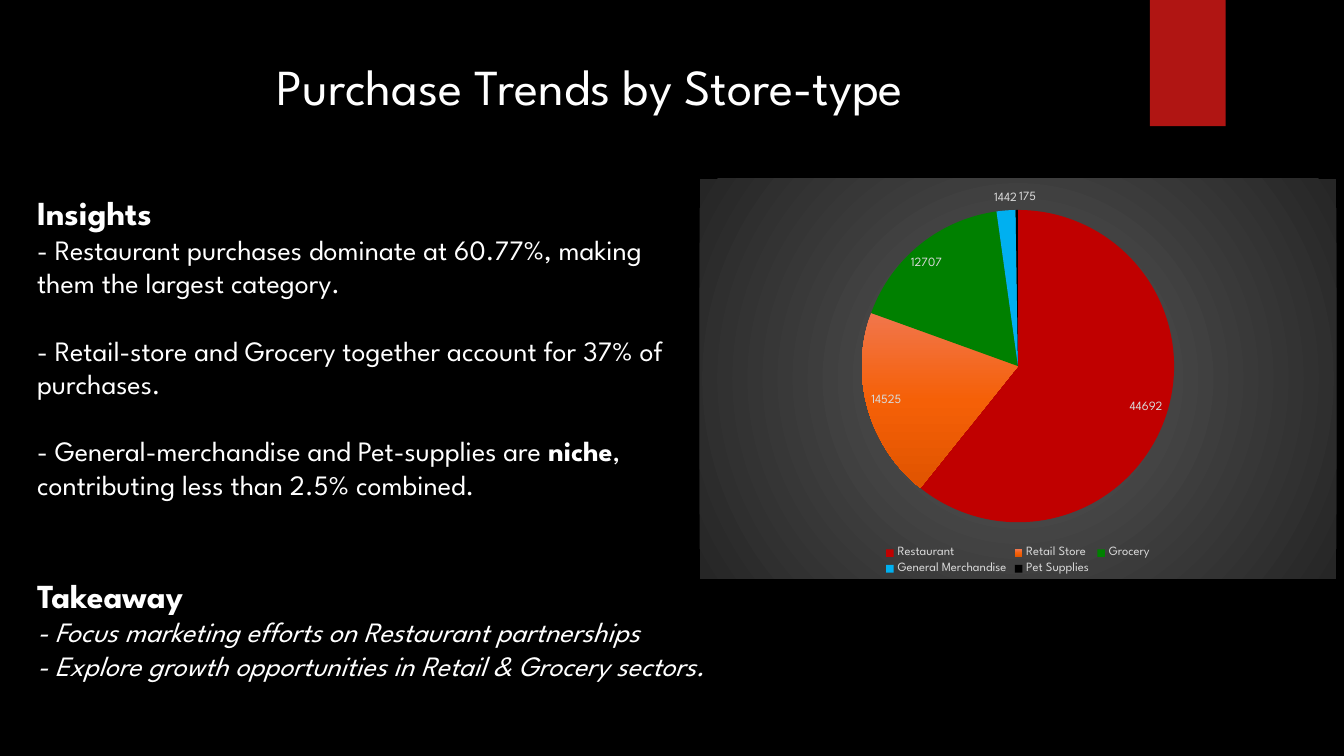
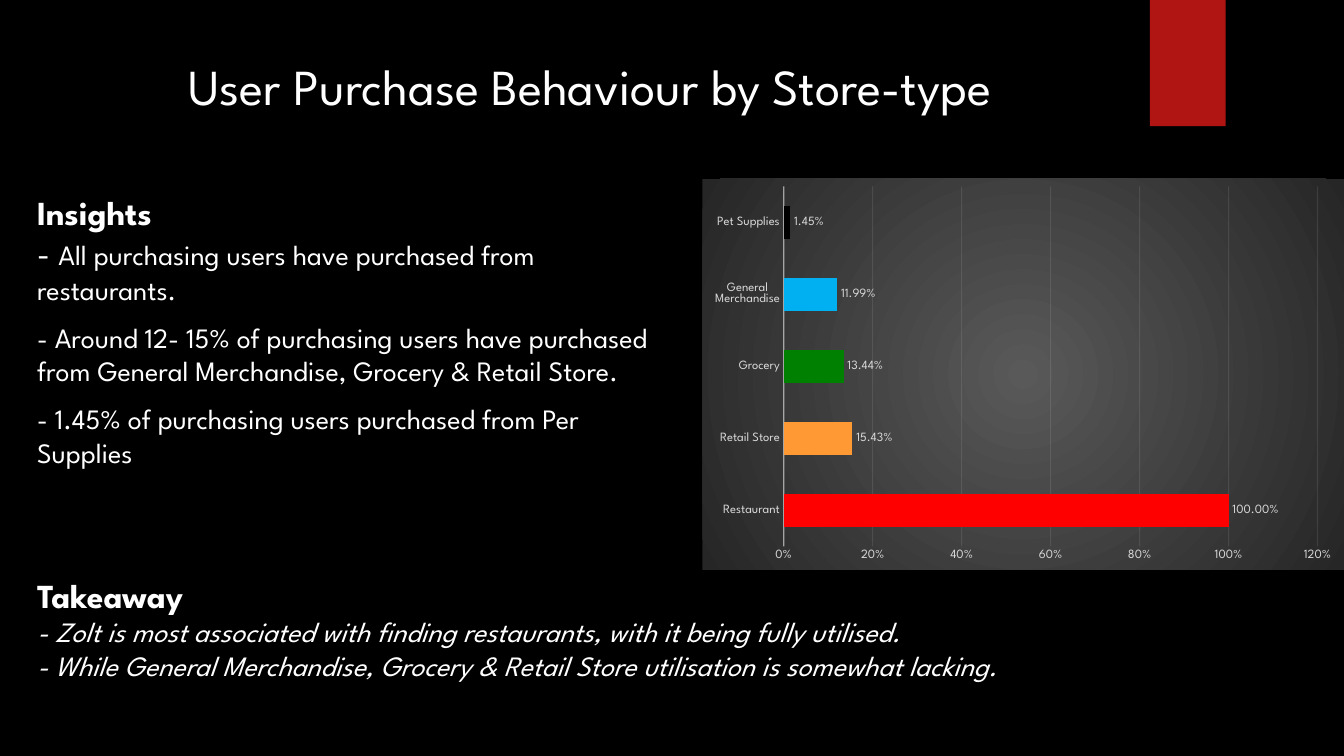
from pptx import Presentation
from pptx.chart.data import CategoryChartData as Data
from pptx.dml.color import RGBColor
from pptx.enum.chart import XL_CHART_TYPE as Kind
from pptx.enum.chart import XL_LABEL_POSITION as Spot
from pptx.enum.chart import XL_LEGEND_POSITION as Side
from pptx.enum.chart import XL_TICK_MARK as Tick
from pptx.enum.shapes import MSO_SHAPE as Form
from pptx.enum.text import MSO_ANCHOR as Anchor
from pptx.enum.text import MSO_AUTO_SIZE as Auto
from pptx.enum.text import PP_ALIGN as Align
from pptx.oxml import parse_xml
from pptx.oxml.ns import nsdecls, qn
from pptx.util import Cm, Pt

FONT = "League Spartan"
WHITE, BLACK, RED, PALE, LINE = "FFFFFF", "000000", "B01513", "D9D9D9", "F2F2F2"
STORES = ["Restaurant", "Retail Store", "Grocery", "General Merchandise", "Pet Supplies"]
ORANGE = [(0, "F1764C"), (50, "F56007"), (100, "E05400")]
GLOW = [(0, "595959"), (100, "262626")]
DOWN = '<a:lin ang="5400000" scaled="0"/>'
ROUND = '<a:path path="circle"><a:fillToRect l="50000" t="50000" r="50000" b="50000"/></a:path>'


def hue(code):
    """Turn a hex string into a colour."""
    return RGBColor.from_string(code)


def style(font, size, code=WHITE, bold=False, slant=False):
    """Set face, size, colour and weight of a font."""
    font.name, font.size = FONT, Pt(size)
    font.bold, font.italic = bold, slant
    font.color.rgb = hue(code)


def grad(stops, way):
    """Return a gradient fill with stops in percent."""
    marks = "".join(
        f'<a:gs pos="{at * 1000}"><a:srgbClr val="{code}"/></a:gs>' for at, code in stops
    )
    return parse_xml(
        f'<a:gradFill {nsdecls("a")}><a:gsLst>{marks}</a:gsLst>{way}</a:gradFill>'
    )


def place(shape, left, top, width, height):
    """Move and size a shape, in centimetres."""
    shape.left, shape.top = Cm(left), Cm(top)
    shape.width, shape.height = Cm(width), Cm(height)


def theme(deck):
    """Set the black ground and the title's place for all slides."""
    fill = deck.slide_master.background.fill
    fill.solid()
    fill.fore_color.rgb = hue(BLACK)
    layout = deck.slide_layouts[3]
    place(layout.placeholders[0], 1.8, 1.27, 26.14, 1.9)
    return layout


def band(slide):
    """Draw the red band and hand it to the slide's layout."""
    box = slide.shapes.add_shape(Form.RECTANGLE, Cm(28.98), 0, Cm(1.91), Cm(3.18))
    box.shadow.inherit = False
    box.fill.solid()
    box.fill.fore_color.rgb = hue(RED)
    box.line.fill.background()
    slide.slide_layout.shapes._spTree.append(box._element)


def setup(frame):
    """Anchor wrapped text at the top without autofit."""
    frame.word_wrap, frame.auto_size = True, Auto.NONE
    frame.vertical_anchor = Anchor.TOP


def page(deck, layout, title):
    """Add a slide with its title."""
    slide = deck.slides.add_slide(layout)
    frame = slide.shapes.title.text_frame
    setup(frame)
    para = frame.paragraphs[0]
    para.alignment = Align.CENTER
    run = para.add_run()
    run.text = title
    style(run.font, 36)
    return slide


def block(shape, head, items, gap=0, slant=False):
    """Write a bold heading and items, each a list of text, size and weight."""
    frame = shape.text_frame
    setup(frame)
    rows = [[(head, 24, True)]] + items
    for num, row in enumerate(rows):
        para = frame.paragraphs[0] if num == 0 else frame.add_paragraph()
        para.space_before = Pt(gap if num > 1 else 0)
        props = para._p.get_or_add_pPr()
        props.set("marL", "0")
        props.set("indent", "0")
        props.append(parse_xml(f'<a:buNone {nsdecls("a")}/>'))
        for text, size, bold in row:
            run = para.add_run()
            run.text = text
            style(run.font, size, bold=bold, slant=slant and num > 0)


def notes(slide, facts, gap, advice):
    """Fill the two text blocks of a slide."""
    top, low = slide.placeholders[1], slide.placeholders[2]
    place(top, 0.68, 4.71, 16.54, 9)
    block(top, "Insights", facts, gap)
    place(low, 0.68, 14.35, 30.3, 3.2)
    block(low, "Takeaway", [[(text, 20, False)] for text in advice], slant=True)


def graph(slide, kind, vals, form, spot, hues, box):
    """Add a chart of one series on a grey glow, coloured by point."""
    data = Data(number_format=form)
    data.categories = STORES
    data.add_series("Series 1", vals)
    chart = slide.shapes.add_chart(kind, *map(Cm, box), data).chart
    chart.has_title = chart.has_legend = False
    style(chart.font, 10)
    back = parse_xml(f'<c:spPr {nsdecls("c", "a")}><a:ln><a:noFill/></a:ln></c:spPr>')
    back.insert(0, grad(GLOW, ROUND))
    chart._chartSpace.find(qn("c:chart")).addnext(back)
    plot = chart.plots[0]
    plot.has_data_labels = True
    tags = plot.data_labels
    tags.show_value, tags.position = True, spot
    tags.number_format, tags.number_format_is_linked = form, False
    style(tags.font, 9, PALE)
    paint(plot.series[0], hues)
    return chart


def paint(series, hues):
    """Colour each point with a hex string or a list of stops."""
    for num, code in enumerate(hues):
        look = series.points[num].format
        if isinstance(code, str):
            look.fill.solid()
            look.fill.fore_color.rgb = hue(code)
        else:
            dot = series._element.get_or_add_dPt_for_point(num)
            dot.get_or_add_spPr().insert(0, grad(code, DOWN))
        look.line.fill.background()


def stroke(line, width, part):
    """Draw a pale line with an opacity in percent."""
    line.width = Pt(width)
    line.color.rgb = hue(LINE)
    tone = line._get_or_add_ln().find(".//" + qn("a:srgbClr"))
    tone.append(parse_xml(f'<a:alpha {nsdecls("a")} val="{part * 1000}"/>'))


def axes(chart):
    """Format both axes of the bar chart."""
    cat, val = chart.category_axis, chart.value_axis
    for axis in (cat, val):
        axis.major_tick_mark = axis.minor_tick_mark = Tick.NONE
        style(axis.tick_labels.font, 9, PALE)
    stroke(cat.format.line, 1, 54)
    val.format.line.fill.background()
    val.has_major_gridlines = True
    stroke(val.major_gridlines.format.line, 0.75, 10)
    val.minimum_scale, val.maximum_scale, val.major_unit = 0, 1.2, 0.2
    val.tick_labels.number_format = "0%"
    val.tick_labels.number_format_is_linked = False


def trends(deck, layout):
    """Build the slide with the pie chart."""
    slide = page(deck, layout, "Purchase Trends by Store-type")
    band(slide)
    notes(
        slide,
        [
            [("- Restaurant purchases dominate at 60.77%, making them the largest category.", 20, False)],
            [("- Retail-store and Grocery together account for 37% of purchases.", 20, False)],
            [
                ("- General-merchandise and Pet-supplies are ", 20, False),
                ("niche", 20, True),
                (", contributing less than 2.5% combined.", 20, False),
            ],
        ],
        24,
        [
            "- Focus marketing efforts on Restaurant partnerships",
            "- Explore growth opportunities in Retail & Grocery sectors.",
        ],
    )
    chart = graph(
        slide, Kind.PIE, [44692, 14525, 12707, 1442, 175], "General", Spot.BEST_FIT,
        ["C00000", ORANGE, "008000", "00B0F0", BLACK], (17.63, 4.5, 16.05, 10.08),
    )
    chart.has_legend = True
    chart.legend.position = Side.BOTTOM
    chart.legend.include_in_layout = False
    style(chart.legend.font, 9, PALE)


def users(deck, layout):
    """Build the slide with the bar chart."""
    slide = page(deck, layout, "User Purchase Behaviour by Store-type")
    notes(
        slide,
        [
            [("- ", 24, False), ("All purchasing users have purchased from restaurants.", 20, False)],
            [("- Around 12- 15% of purchasing users have purchased from General Merchandise, Grocery & Retail Store.", 20, False)],
            [("- 1.45% of purchasing users purchased from Per Supplies", 20, False)],
        ],
        10,
        [
            "- Zolt is most associated with finding restaurants, with it being fully utilised.",
            "- While General Merchandise, Grocery & Retail Store utilisation is somewhat lacking.",
        ],
    )
    chart = graph(
        slide, Kind.BAR_CLUSTERED, [1, 0.1543, 0.1344, 0.1199, 0.0145], "0.00%",
        Spot.OUTSIDE_END, ["FF0000", "FF9933", "008000", "00B0F0", BLACK],
        (17.7, 4.5, 16.17, 9.86),
    )
    plot = chart.plots[0]
    plot.gap_width, plot.overlap, plot.vary_by_categories = 115, -20, False
    axes(chart)


def main():
    """Build and save the deck."""
    deck = Presentation()
    deck.slide_width, deck.slide_height = Cm(33.87), Cm(19.05)
    layout = theme(deck)
    trends(deck, layout)
    users(deck, layout)
    deck.save("out.pptx")


if __name__ == "__main__":
    main()
